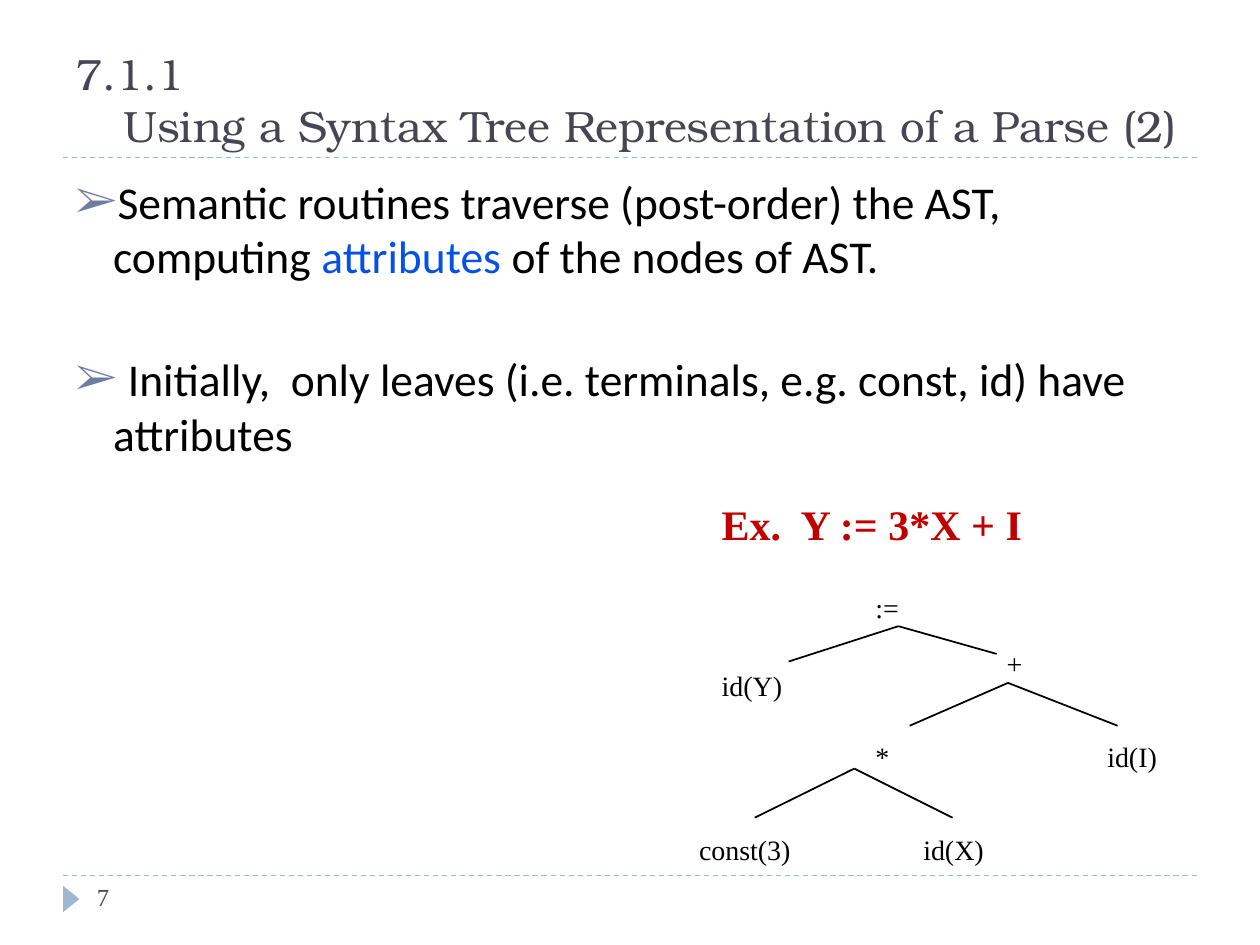
from dataclasses import dataclass

from lxml import etree
from pptx import Presentation
from pptx.dml.color import RGBColor
from pptx.enum.dml import MSO_LINE
from pptx.enum.shapes import MSO_CONNECTOR, MSO_SHAPE
from pptx.enum.text import MSO_ANCHOR
from pptx.oxml.ns import qn
from pptx.util import Inches, Pt

DASH = MSO_LINE.DASH
STRAIGHT = MSO_CONNECTOR.STRAIGHT
TRIANGLE = MSO_SHAPE.ISOSCELES_TRIANGLE
TOP, BOTTOM = MSO_ANCHOR.TOP, MSO_ANCHOR.BOTTOM


@dataclass(frozen=True)
class Theme:
    title_font: str = "TeX Gyre Bonum"
    body_font: str = "Calibri"
    tree_font: str = "Times New Roman"
    title_size: int = 25
    body_size: int = 26
    example_size: int = 24
    tree_size: int = 16
    number_size: int = 14
    heading: str = "464653"
    ink: str = "000000"
    keyword: str = "0550E5"
    example: str = "C00000"
    bullet: str = "727CA3"
    accent: str = "9FB8CD"


theme = Theme()
presentation = Presentation()
presentation.slide_width = Inches(10)
presentation.slide_height = Inches(7.5)
slide = presentation.slides.add_slide(presentation.slide_layouts[6])


def add_text(text, box=None, paragraph=None, font=theme.tree_font,
             size=theme.tree_size, color=theme.ink, bold=False, anchor=TOP):
    """Write text in a new box, or append it to a paragraph; return the paragraph."""
    if paragraph is None:
        frame = slide.shapes.add_textbox(*map(Inches, box)).text_frame
        frame.word_wrap = True
        frame.vertical_anchor = anchor
        paragraph = frame.paragraphs[0]
    for number, line in enumerate(text.split("\n")):
        if number:
            paragraph.add_line_break()
        run = paragraph.add_run()
        run.text = line
        run.font.name = font
        run.font.size = Pt(size)
        run.font.bold = bold
        run.font.color.rgb = RGBColor.from_string(color)
    return paragraph


def add_line(start, end, color, width, dash=None):
    line = slide.shapes.add_connector(STRAIGHT, *map(Inches, start + end))
    line.line.color.rgb = RGBColor.from_string(color)
    line.line.width = Pt(width)
    if dash:
        line.line.dash_style = dash
    etree.SubElement(line._element.spPr, qn("a:effectLst"))


# Rules and page marker
for y in (6.95, 1.25):
    add_line((0.5, y), (9.5, y), theme.accent, 0.75, DASH)

marker = slide.shapes.add_shape(
    TRIANGLE, Inches(0.46), Inches(7.07), Inches(0.21), Inches(0.13))
marker.rotation = 90
marker.shadow.inherit = False
marker.fill.solid()
marker.fill.fore_color.rgb = RGBColor.from_string(theme.accent)
marker.line.fill.background()
add_text("7", (0.67, 6.95, 2.17, 0.4), size=theme.number_size, color=theme.heading)

# Title
title = add_text("7.1.1\nUsing a Syntax Tree Representation of a Parse (2)",
                 (0.5, 0.17, 9, 1.08), font=theme.title_font,
                 size=theme.title_size, color=theme.heading, anchor=BOTTOM)
title_properties = title._p.get_or_add_pPr()
title_properties.set("marL", str(Inches(0.38)))
title_properties.set("indent", str(Inches(-0.38)))

# Bulleted body
body_style = {"font": theme.body_font, "size": theme.body_size}
first = add_text("Semantic routines traverse (post-order) the AST,\ncomputing ",
                 (0.5, 1.33, 9, 5.4), **body_style)
add_text("attributes ", paragraph=first, color=theme.keyword, **body_style)
add_text("of the nodes of AST.", paragraph=first, **body_style)
second = first._parent.add_paragraph()
add_text(" Initially,  only leaves (i.e. terminals, e.g. const, id) have attributes",
         paragraph=second, **body_style)
for paragraph in (first, second):
    properties = paragraph._p.get_or_add_pPr()
    properties.set("marL", str(Inches(0.3)))
    properties.set("indent", str(Inches(-0.3)))
    bullet_color = etree.SubElement(properties, qn("a:buClr"))
    etree.SubElement(bullet_color, qn("a:srgbClr"), val=theme.bullet)
    etree.SubElement(properties, qn("a:buFont"), typeface=theme.tree_font)
    etree.SubElement(properties, qn("a:buChar"), char="➢")
second.space_before = Pt(39)

# Example and its syntax tree
add_text("Ex.  Y := 3*X + I", (5.63, 3.91, 3.43, 0.5),
         size=theme.example_size, color=theme.example, bold=True)

tree_nodes = [
    (":=", 6.85, 4.64),
    ("id(Y)", 5.63, 5.26),
    ("+", 7.89, 5.08),
    ("*", 6.85, 5.82),
    ("id(I)", 8.69, 5.82),
    ("const(3)", 5.45, 6.56),
    ("id(X)", 7.23, 6.56),
]
for label, left, top in tree_nodes:
    width = 0.3 + 0.1 * len(label)
    add_text(label, (left, top, width, 0.36))

tree_branches = [
    ((7.13, 4.97), (6.26, 5.25), (7.91, 5.19)),
    ((8, 5.42), (7.22, 5.76), (8.87, 5.76)),
    ((6.78, 6.1), (5.99, 6.49), (7.56, 6.49)),
]
for parent, *children in tree_branches:
    for child in children:
        add_line(parent, child, theme.ink, 1)

presentation.save("out.pptx")
